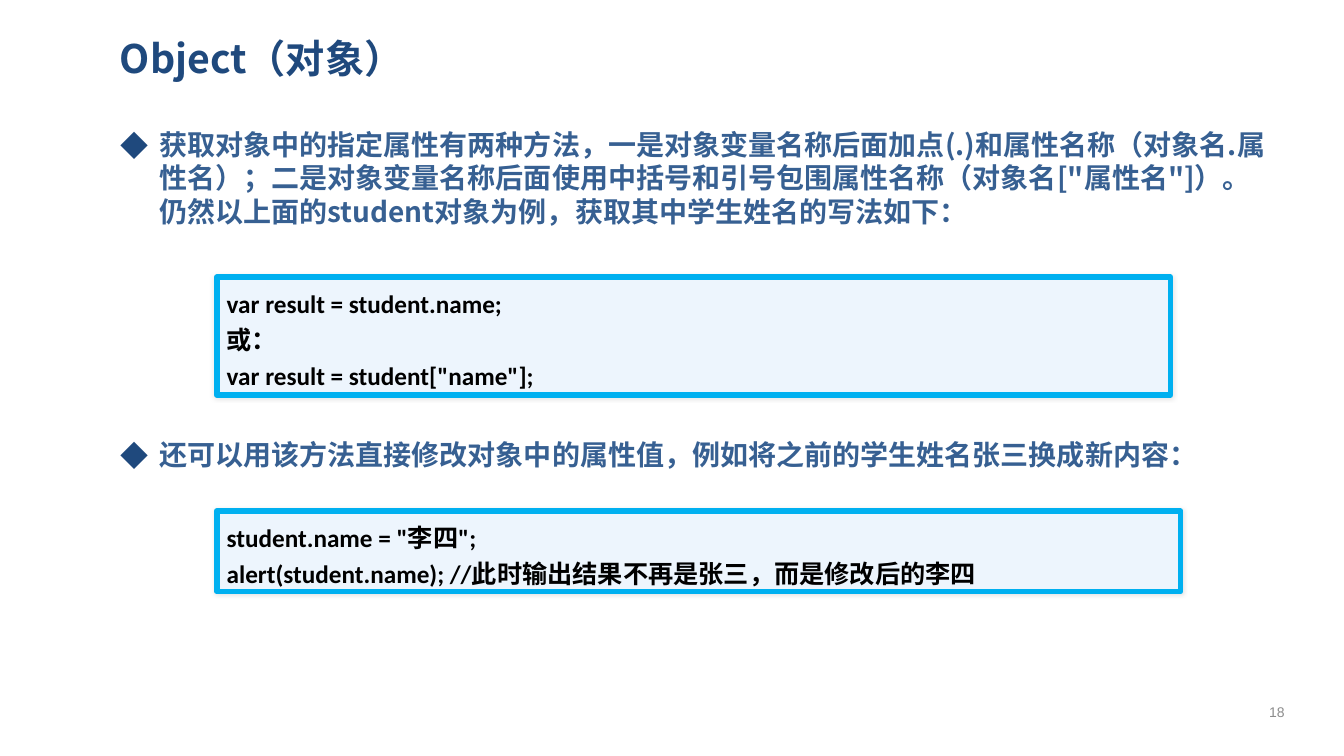
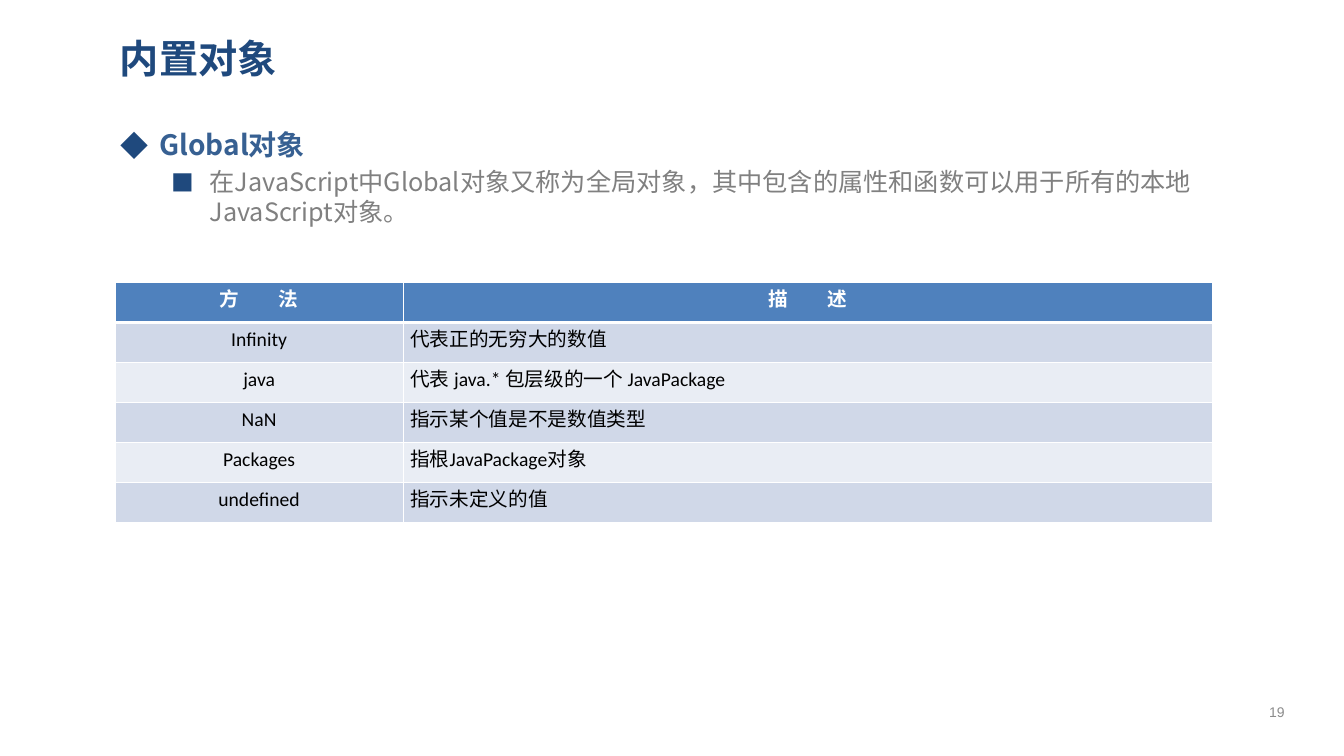
from dataclasses import dataclass

from lxml.etree import SubElement
from pptx import Presentation
from pptx.dml.color import RGBColor
from pptx.enum.shapes import MSO_SHAPE
from pptx.enum.text import MSO_ANCHOR, PP_ALIGN
from pptx.oxml.ns import qn
from pptx.util import Inches, Pt

NAVY = RGBColor(0x1F, 0x49, 0x7D)
BLUE = RGBColor(0x37, 0x60, 0x92)
GRAY = RGBColor(0x80, 0x80, 0x80)
NUMBER_GRAY = RGBColor(0x8C, 0x8C, 0x8C)
BLACK = RGBColor(0, 0, 0)
WHITE = RGBColor(0xFF, 0xFF, 0xFF)
CODE_FILL = RGBColor(0xED, 0xF5, 0xFD)
CODE_BORDER = RGBColor(0x00, 0xB0, 0xF0)
HEADER_FILL = RGBColor(0x4F, 0x81, 0xBD)
ROW_FILLS = (RGBColor(0xD0, 0xD8, 0xE8), RGBColor(0xE9, 0xED, 0xF4))

CJK_FONT = "Noto Sans CJK SC"


@dataclass(frozen=True)
class TextStyle:
    name: str
    size: float
    color: RGBColor
    bold: bool = False


@dataclass(frozen=True)
class BulletLevel:
    style: TextStyle
    character: str
    margin: float
    percent: int


@dataclass(frozen=True)
class Bullet:
    text: str
    level: BulletLevel


@dataclass(frozen=True)
class CodeBox:
    top: float
    width: float
    height: float
    lines: tuple[str, ...]


TITLE = TextStyle(CJK_FONT, 28, NAVY, True)
NUMBER = TextStyle("Arial", 10, NUMBER_GRAY)
CODE = TextStyle("Calibri", 18, BLACK, True)
TABLE_HEADER = TextStyle("Calibri", 14, WHITE, True)
TABLE_BODY = TextStyle("Calibri", 14, BLACK)
POINT = BulletLevel(TextStyle(CJK_FONT, 20, BLUE, True), "◆", 0.38, 100)
DETAIL = BulletLevel(TextStyle(CJK_FONT, 18, GRAY), "■", 0.88, 90)

BODY_TOP = 1.22
FRAME_FORMAT = {
    "word_wrap": True,
    "margin_left": Inches(0.09),
    "margin_right": Inches(0.09),
    "margin_top": Inches(0.04),
    "margin_bottom": Inches(0.04),
}
CELL_FORMAT = {
    "vertical_anchor": MSO_ANCHOR.MIDDLE,
    "margin_left": Inches(0.07),
    "margin_right": Inches(0.07),
    "margin_top": 0,
    "margin_bottom": 0,
}

CODE_BOXES = (
    CodeBox(2.75, 9.46, 1.17, (
        "var result = student.name;",
        "或：",
        'var result = student["name"];',
    )),
    CodeBox(5.07, 9.56, 0.8, (
        'student.name = "李四";',
        "alert(student.name); //此时输出结果不再是张三，而是修改后的李四",
    )),
)
GLOBAL_ROWS = (
    ("方\u3000\u3000法".replace("\u3000", "　"), "描　　述"),
    ("Infinity", "代表正的无穷大的数值"),
    ("java", "代表 java.* 包层级的一个 JavaPackage"),
    ("NaN", "指示某个值是不是数值类型"),
    ("Packages", "指根JavaPackage对象"),
    ("undefined", "指示未定义的值"),
)


def apply_format(target, values: dict) -> None:
    for name, value in values.items():
        setattr(target, name, value)


def write(paragraph, text: str, style: TextStyle) -> None:
    run = paragraph.add_run()
    run.text = text
    run.font.color.rgb = style.color
    apply_format(run.font, {
        "name": style.name, "size": Pt(style.size), "bold": style.bold,
    })
    SubElement(run.font._element, qn("a:ea"), typeface=style.name)


def next_paragraph(frame, index: int):
    return frame.add_paragraph() if index else frame.paragraphs[0]


def add_slide(presentation, title: str, number: int):
    slide = presentation.slides.add_slide(presentation.slide_layouts[5])
    shape = slide.shapes.title
    apply_format(shape, {
        "left": Inches(1.1), "top": Inches(0.24),
        "width": Inches(11.65), "height": Inches(0.67),
    })
    number_box = slide.shapes.add_textbox(
        Inches(12.34), Inches(6.86), Inches(0.65), Inches(0.4))
    for box, text, style, alignment in (
        (shape, title, TITLE, PP_ALIGN.LEFT),
        (number_box, str(number), NUMBER, PP_ALIGN.CENTER),
    ):
        frame = box.text_frame
        apply_format(frame, FRAME_FORMAT | {"vertical_anchor": MSO_ANCHOR.MIDDLE})
        frame.paragraphs[0].alignment = alignment
        write(frame.paragraphs[0], text, style)
    return slide


def add_bullets(slide, top: float, height: float, bullets: tuple[Bullet, ...]) -> None:
    box = slide.shapes.add_textbox(
        Inches(1.11), Inches(top), Inches(11.65), Inches(height))
    apply_format(box.text_frame, FRAME_FORMAT)
    for index, bullet in enumerate(bullets):
        paragraph = next_paragraph(box.text_frame, index)
        level = bullet.level
        properties = paragraph._p.get_or_add_pPr()
        properties.set("marL", str(Inches(level.margin)))
        properties.set("indent", str(Inches(-0.38)))
        color = SubElement(properties, qn("a:buClr"))
        SubElement(color, qn("a:srgbClr"), val=str(NAVY))
        SubElement(properties, qn("a:buSzPct"), val=str(level.percent * 1000))
        SubElement(properties, qn("a:buFont"), typeface=CJK_FONT)
        SubElement(properties, qn("a:buChar"), char=level.character)
        paragraph.line_spacing = 1.0
        if index:
            paragraph.space_before = Pt(4)
        write(paragraph, bullet.text, level.style)


def add_code_box(slide, code: CodeBox) -> None:
    shape = slide.shapes.add_shape(
        MSO_SHAPE.RECTANGLE, Inches(2.15), Inches(code.top),
        Inches(code.width), Inches(code.height))
    shape.fill.solid()
    shape.fill.fore_color.rgb = CODE_FILL
    shape.line.color.rgb = CODE_BORDER
    shape.line.width = Pt(4)
    shape.shadow.inherit = False
    effects = shape._element.spPr.find(qn("a:effectLst"))
    shadow = SubElement(effects, qn("a:outerShdw"), blurRad=str(Pt(3)), dist="0", dir="0")
    color = SubElement(shadow, qn("a:srgbClr"), val=str(BLACK))
    SubElement(color, qn("a:alpha"), val="10000")
    frame = shape.text_frame
    apply_format(frame, {"word_wrap": True, "vertical_anchor": MSO_ANCHOR.TOP})
    for index, line in enumerate(code.lines):
        paragraph = next_paragraph(frame, index)
        apply_format(paragraph, {"alignment": PP_ALIGN.LEFT, "line_spacing": 1.2})
        write(paragraph, line, CODE)


def set_borders(cell, bottom: float) -> None:
    properties = cell._tc.get_or_add_tcPr()
    widths = {"a:lnL": 1, "a:lnR": 1, "a:lnT": 1, "a:lnB": bottom}
    for position, (tag, width) in enumerate(widths.items()):
        line = properties.makeelement(qn(tag), {"w": str(Pt(width))})
        fill = SubElement(line, qn("a:solidFill"))
        SubElement(fill, qn("a:srgbClr"), val=str(WHITE))
        properties.insert(position, line)


def add_table(slide, rows: tuple[tuple[str, str], ...]) -> None:
    widths = (2.86, 8.03)
    table = slide.shapes.add_table(
        len(rows), len(widths), Inches(1.14), Inches(2.8),
        Inches(sum(widths)), Inches(2.39)).table
    for column, width in zip(table.columns, widths):
        column.width = Inches(width)
    for row_index, row in enumerate(rows):
        header = row_index == 0
        for column_index, text in enumerate(row):
            cell = table.cell(row_index, column_index)
            apply_format(cell, CELL_FORMAT)
            cell.fill.solid()
            cell.fill.fore_color.rgb = HEADER_FILL if header else ROW_FILLS[(row_index - 1) % 2]
            set_borders(cell, 3 if header else 1)
            centered = header or column_index == 0
            paragraph = cell.text_frame.paragraphs[0]
            apply_format(paragraph, {
                "alignment": PP_ALIGN.CENTER if centered else PP_ALIGN.LEFT,
                "line_spacing": Pt(13),
            })
            write(paragraph, text, TABLE_HEADER if header else TABLE_BODY)


def build_object_slide(presentation) -> None:
    slide = add_slide(presentation, "Object（对象）", 18)
    add_bullets(slide, BODY_TOP, 1.4, (Bullet(
        "获取对象中的指定属性有两种方法，一是对象变量名称后面加点(.)和属性名称"
        "（对象名.属性名）；二是对象变量名称后面使用中括号和引号包围属性名称"
        '（对象名["属性名"]）。仍然以上面的student对象为例，'
        "获取其中学生姓名的写法如下：", POINT),))
    add_bullets(slide, 4.3, 0.5, (Bullet(
        "还可以用该方法直接修改对象中的属性值，例如将之前的学生姓名张三换成新内容：", POINT),))
    for code in CODE_BOXES:
        add_code_box(slide, code)


def build_global_slide(presentation) -> None:
    slide = add_slide(presentation, "内置对象", 19)
    add_bullets(slide, BODY_TOP, 1.4, (
        Bullet("Global对象", POINT),
        Bullet(
            "在JavaScript中Global对象又称为全局对象，"
            "其中包含的属性和函数可以用于所有的本地JavaScript对象。", DETAIL),
    ))
    add_table(slide, GLOBAL_ROWS)


def main() -> None:
    presentation = Presentation()
    presentation.slide_width = Inches(13.33)
    presentation.slide_height = Inches(7.5)
    build_object_slide(presentation)
    build_global_slide(presentation)
    presentation.save("out.pptx")


if __name__ == "__main__":
    main()
